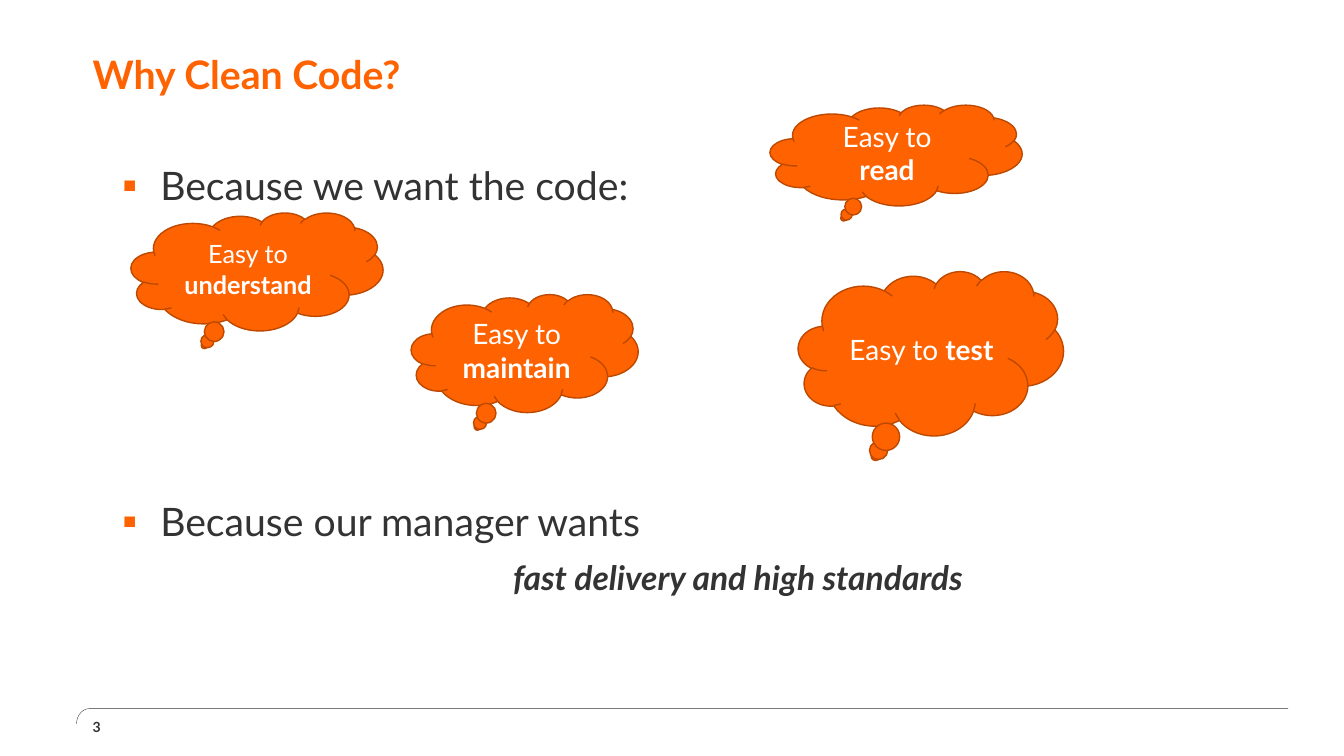
"""Builds the "Why Clean Code?" slide with its thought clouds."""
from dataclasses import dataclass
from math import cos, pi, sin

from lxml.etree import SubElement
from pptx import Presentation
from pptx.dml.color import RGBColor as RGB
from pptx.enum.shapes import MSO_SHAPE as Shape
from pptx.enum.text import MSO_ANCHOR as Anchor, PP_ALIGN as Align
from pptx.oxml.ns import qn
from pptx.util import Inches, Pt

WIDTH, HEIGHT = Inches(13.33), Inches(7.5)


@dataclass(frozen=True)
class Theme:
    """Font, colours and type sizes of the slide."""
    font: str = "Lato"
    accent: RGB = RGB(0xFF, 0x62, 0x00)
    outline: RGB = RGB(0xBD, 0x49, 0x00)
    ink: RGB = RGB(0x33, 0x33, 0x33)
    paper: RGB = RGB(0xFF, 0xFF, 0xFF)
    heading: int = 28
    emphasis: int = 24
    cloud: int = 20
    cloud_small: int = 18
    number: int = 10
    leading: int = 24


@dataclass(frozen=True)
class Box:
    """Place on the slide in percent of its width and height."""
    left: float
    top: float
    width: float
    height: float

    def emu(self) -> tuple[int, int, int, int]:
        """Return left, top, width and height in EMU."""
        return (across(self.left), down(self.top),
                across(self.width), down(self.height))


@dataclass(frozen=True)
class Cloud:
    """Thought cloud naming one quality of clean code."""
    quality: str
    box: Box
    size: int


@dataclass(frozen=True)
class Line:
    """Body paragraph with its indents in inches and the space above in points."""
    text: str
    size: int
    indent: float
    hang: float = 0
    before: int = 0
    strong: bool = False


THEME = Theme()
MARGIN, MEASURE = 6.9, 86.03
TITLE_BOX = Box(MARGIN, 4.13, MEASURE, 12.4)
BODY_BOX = Box(MARGIN, 23.07, MEASURE, 67.33)
NUMBER_BOX = Box(MARGIN, 94.8, 4.05, 2.8)
RULE_BOX = Box(5.7, 93.73, 90.15, 2)
CORNER_WIDTH, CORNER_STEPS = 0.98, 12

CLOUDS = (
    Cloud("read", Box(57.3, 13.87, 18.75, 13.33), THEME.cloud),
    Cloud("understand", Box(9.75, 28.13, 18.75, 15.6), THEME.cloud_small),
    Cloud("test", Box(59.4, 35.87, 19.73, 21.73), THEME.cloud),
    Cloud("maintain", Box(30.6, 38.93, 16.88, 15.6), THEME.cloud),
)
LINES = (
    Line("Because we want the code:", THEME.heading, 0.67, 0.38),
    Line("Because our manager wants", THEME.heading, 0.67, 0.38,
         before=9 * THEME.leading),
    Line("fast delivery and high standards", THEME.emphasis, 4.17,
         before=14, strong=True),
)


def across(share: float) -> int:
    """Convert a percentage of the slide width to EMU."""
    return round(WIDTH * share / 100)


def down(share: float) -> int:
    """Convert a percentage of the slide height to EMU."""
    return round(HEIGHT * share / 100)


def add_run(p, text: str, *, size: int, color: RGB = THEME.ink,
            bold: bool = False, italic: bool = False) -> None:
    """Append formatted text to a paragraph."""
    r = p.add_run()
    r.text = text
    r.font.name, r.font.size = THEME.font, Pt(size)
    r.font.bold, r.font.italic = bold, italic
    r.font.color.rgb = color


def add_box(s, box: Box, anchor: Anchor = Anchor.MIDDLE):
    """Add a wrapping text box without insets and return its text frame."""
    tf = s.shapes.add_textbox(*box.emu()).text_frame
    tf.word_wrap, tf.vertical_anchor = True, anchor
    tf.margin_left = tf.margin_right = tf.margin_top = tf.margin_bottom = 0
    return tf


def add_bullet(p) -> None:
    """Give a paragraph the square accent bullet."""
    pPr = p._p.get_or_add_pPr()
    color = SubElement(pPr, qn("a:buClr"))
    SubElement(color, qn("a:srgbClr"), val=str(THEME.accent))
    SubElement(pPr, qn("a:buFont"), typeface=THEME.font)
    SubElement(pPr, qn("a:buChar"), char="▪")


def add_body(s) -> None:
    """Add the two reasons and the emphasised phrase."""
    tf = add_box(s, BODY_BOX, Anchor.TOP)
    for i, line in enumerate(LINES):
        p = tf.add_paragraph() if i else tf.paragraphs[0]
        p.line_spacing, p.space_before = Pt(THEME.leading), Pt(line.before)
        pPr = p._p.get_or_add_pPr()
        pPr.set("marL", str(Inches(line.indent)))
        pPr.set("indent", str(-Inches(line.hang)))
        if line.hang:
            add_bullet(p)
        add_run(p, line.text, size=line.size,
                bold=line.strong, italic=line.strong)


def add_cloud(s, cloud: Cloud) -> None:
    """Add one thought cloud."""
    sp = s.shapes.add_shape(Shape.CLOUD_CALLOUT, *cloud.box.emu())
    sp.shadow.inherit = False
    sp.fill.solid()
    sp.fill.fore_color.rgb = THEME.accent
    sp.line.color.rgb, sp.line.width = THEME.outline, Pt(1)
    tf = sp.text_frame
    tf.word_wrap, tf.vertical_anchor = True, Anchor.MIDDLE
    p = tf.paragraphs[0]
    p.alignment = Align.CENTER
    add_run(p, "Easy to ", size=cloud.size, color=THEME.paper)
    add_run(p, cloud.quality, size=cloud.size, color=THEME.paper, bold=True)


def add_footer_rule(s) -> None:
    """Add the footer rule that curves down at its left end."""
    left, top, width, height = RULE_BOX.emu()
    radius = across(CORNER_WIDTH)
    angles = [pi / 2 * i / CORNER_STEPS for i in range(CORNER_STEPS + 1)]
    corner = [(round(left + radius * (1 - sin(a))),
               round(top + height * (1 - cos(a)))) for a in angles]
    builder = s.shapes.build_freeform(left + width, top)
    builder.add_line_segments(corner, close=False)
    sp = builder.convert_to_shape()
    sp.shadow.inherit = False
    sp.fill.background()
    sp.line.color.rgb, sp.line.width = THEME.ink, Pt(0.25)


def main() -> None:
    """Build and save the slide."""
    prs = Presentation()
    prs.slide_width, prs.slide_height = WIDTH, HEIGHT
    s = prs.slides.add_slide(prs.slide_layouts[6])
    add_footer_rule(s)
    add_body(s)
    p = add_box(s, TITLE_BOX).paragraphs[0]
    p.line_spacing = Pt(THEME.heading)
    add_run(p, "Why Clean Code?", size=THEME.heading,
            color=THEME.accent, bold=True)
    add_run(add_box(s, NUMBER_BOX).paragraphs[0], "3",
            size=THEME.number, bold=True)
    for cloud in CLOUDS:
        add_cloud(s, cloud)
    prs.save("out.pptx")


if __name__ == "__main__":
    main()
